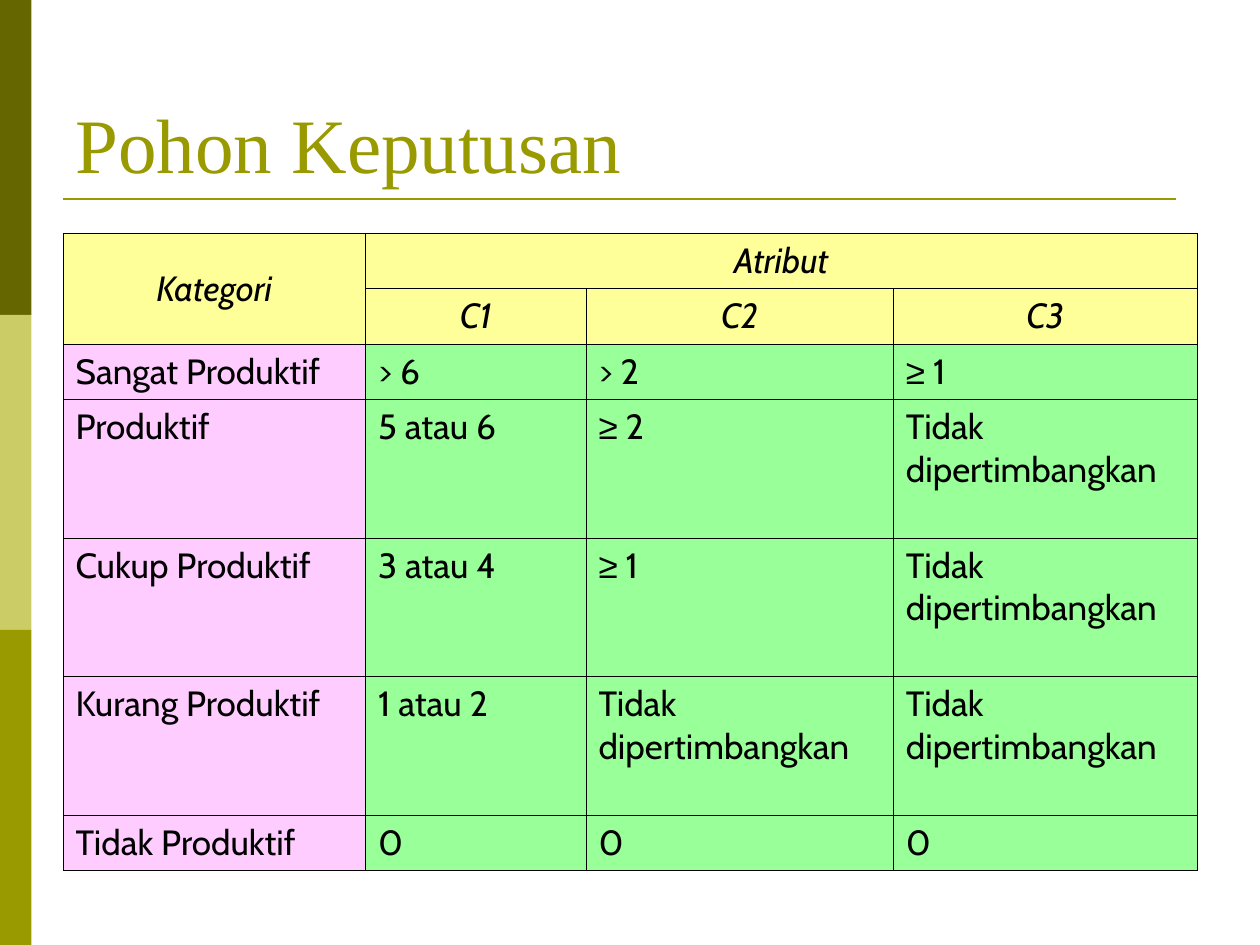
from lxml.etree import SubElement
from pptx import Presentation
from pptx.dml.color import RGBColor
from pptx.enum.shapes import MSO_CONNECTOR as Connector, MSO_SHAPE as Shape
from pptx.enum.text import MSO_ANCHOR as Anchor, MSO_AUTO_SIZE as AutoSize, PP_ALIGN as Align
from pptx.oxml.ns import qn
from pptx.util import Inches, Pt

COLUMNS, ROWS = 40, 30  # layout grid of the slide

OLIVE, DARK_OLIVE, PALE_OLIVE = "999900", "666600", "CCCC66"
HEADER_FILL, CATEGORY_FILL, VALUE_FILL = "FFFF99", "FFCCFF", "99FF99"
BLACK = "000000"
NOT_CONSIDERED = "Tidak dipertimbangkan"

CRITERIA = [
    ["Kategori", "Atribut", "", ""],
    ["", "C1", "C2", "C3"],
    ["Sangat Produktif", "> 6", "> 2", "≥ 1"],
    ["Produktif", "5 atau 6", "≥ 2", NOT_CONSIDERED],
    ["Cukup Produktif", "3 atau 4", "≥ 1", NOT_CONSIDERED],
    ["Kurang Produktif", "1 atau 2", NOT_CONSIDERED, NOT_CONSIDERED],
    ["Tidak Produktif", "0", "0", "0"],
]
HEADER_ROWS = 2
COLUMN_WIDTHS = [2.4, 1.75, 2.44, 2.41]
SHORT_ROW, TALL_ROW = 0.44, 1.1


def color(hex_string):
    return RGBColor.from_string(hex_string)


class SlideBuilder:
    title_font, table_font, symbol_font = "Times New Roman", "Cabin", "Arial"
    title_size, table_size = Pt(44), Pt(20)

    def __init__(self, deck):
        self.slide = deck.slides.add_slide(deck.slide_layouts[5])
        self.column = deck.slide_width / COLUMNS
        self.row = deck.slide_height / ROWS

    def box(self, left, top, width, height):
        """Turn grid columns and rows into slide lengths."""
        return (round(left * self.column), round(top * self.row),
                round(width * self.column), round(height * self.row))

    def add_run(self, paragraph, text, font, size, text_color, italic=False):
        run = paragraph.add_run()
        run.text = text
        run.font.name, run.font.size, run.font.italic = font, size, italic
        run.font.color.rgb = color(text_color)

    def bar(self, left, top, width, height, fill):
        bar = self.slide.shapes.add_shape(Shape.RECTANGLE, *self.box(left, top, width, height))
        bar.shadow.inherit = False
        bar.fill.solid()
        bar.fill.fore_color.rgb = color(fill)
        bar.line.fill.background()

    def rule(self, left, top, width, line_color):
        x, y, length, _ = self.box(left, top, width, 0)
        rule = self.slide.shapes.add_connector(Connector.STRAIGHT, x, y, x + length, y)
        rule.line.color.rgb = color(line_color)
        rule.line.width = Pt(1.5)
        SubElement(rule._element.spPr, qn("a:effectLst"))

    def title(self, text, left, top, width, height):
        title = self.slide.shapes.title
        title.left, title.top, title.width, title.height = self.box(left, top, width, height)
        frame = title.text_frame
        frame.word_wrap = True
        frame.auto_size = AutoSize.NONE
        frame.vertical_anchor = Anchor.BOTTOM
        paragraph = frame.paragraphs[0]
        paragraph.alignment = Align.LEFT
        self.add_run(paragraph, text, self.title_font, self.title_size, OLIVE)

    def cell_borders(self, cell):
        properties = cell._tc.get_or_add_tcPr()
        for position, side in enumerate(("a:lnL", "a:lnR", "a:lnT", "a:lnB")):
            border = properties.makeelement(qn(side), {"w": str(Pt(0.45))})
            fill = SubElement(border, qn("a:solidFill"))
            SubElement(fill, qn("a:srgbClr"), val=BLACK)
            properties.insert(position, border)

    def cell(self, cell, text, fill, header):
        cell.fill.solid()
        cell.fill.fore_color.rgb = color(fill)
        self.cell_borders(cell)
        cell.vertical_anchor = Anchor.MIDDLE if header else Anchor.TOP
        paragraph = cell.text_frame.paragraphs[0]
        paragraph.alignment = Align.CENTER if header else Align.LEFT
        # The comparison sign has its own font
        symbol = "≥" if text.startswith("≥") else ""
        for part, font in ((symbol, self.symbol_font),
                           (text.removeprefix("≥"), self.table_font)):
            if part:
                self.add_run(paragraph, part, font, self.table_size, BLACK, header)

    def criteria_table(self, rows, left, top, width, height):
        table = self.slide.shapes.add_table(
            len(rows), len(COLUMN_WIDTHS), *self.box(left, top, width, height)).table
        for column, column_width in zip(table.columns, COLUMN_WIDTHS):
            column.width = Inches(column_width)
        for r, texts in enumerate(rows):
            header = r < HEADER_ROWS
            wraps = NOT_CONSIDERED in texts
            table.rows[r].height = Inches(TALL_ROW if wraps else SHORT_ROW)
            for c, text in enumerate(texts):
                body_fill = VALUE_FILL if c else CATEGORY_FILL
                self.cell(table.cell(r, c), text, HEADER_FILL if header else body_fill, header)
        table.cell(0, 0).merge(table.cell(1, 0))
        table.cell(0, 1).merge(table.cell(0, 3))


def main():
    deck = Presentation()
    deck.slide_width, deck.slide_height = Inches(10), Inches(7.5)
    builder = SlideBuilder(deck)

    # Side band in three equal parts
    band_height = ROWS / 3
    for index, fill in enumerate((DARK_OLIVE, PALE_OLIVE, OLIVE)):
        builder.bar(0, index * band_height, 1, band_height, fill)

    # Heading and its rule
    builder.title("Pohon Keputusan", 2, 1.2, 36, 5)
    builder.rule(2, 6.32, 35.32, OLIVE)

    # Criteria for each category
    builder.criteria_table(CRITERIA, 2, 7.4, 36, 20.24)

    deck.save("out.pptx")


if __name__ == "__main__":
    main()
